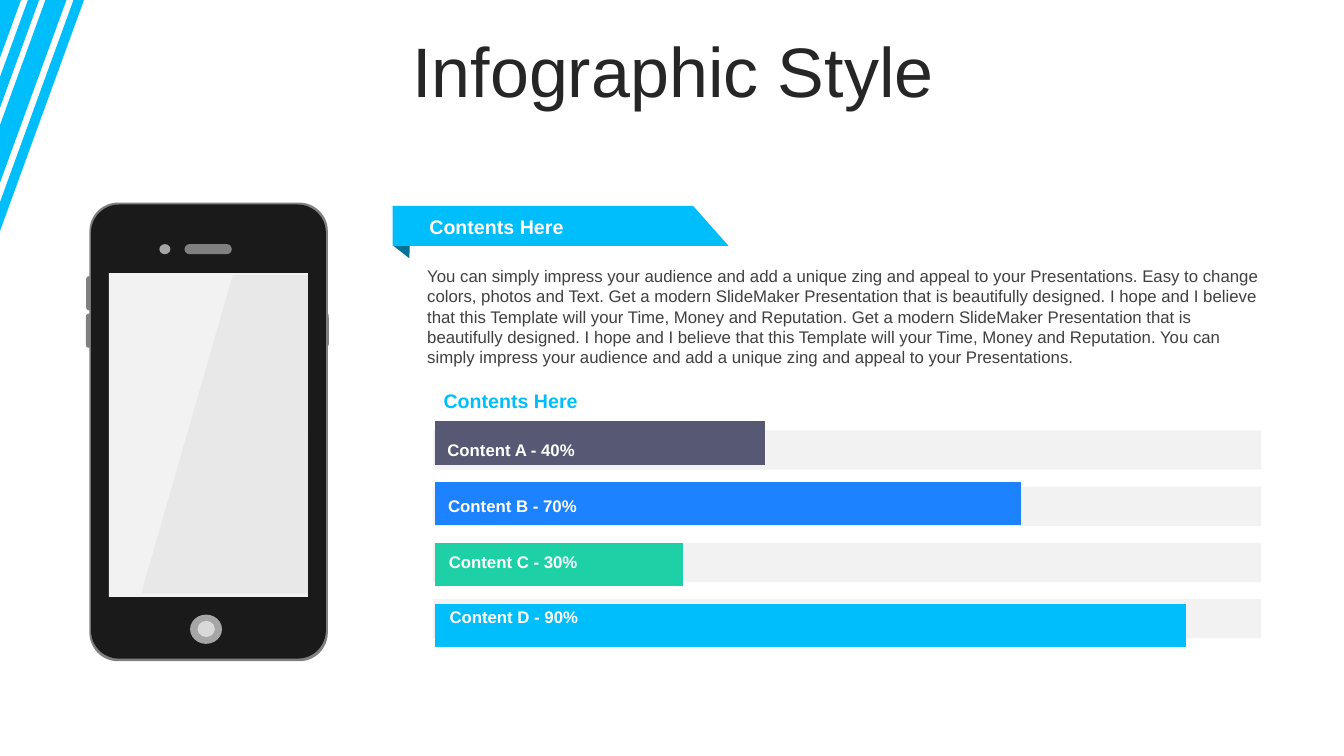
from lxml import etree
from pptx import Presentation
from pptx.chart.data import CategoryChartData
from pptx.dml.color import RGBColor
from pptx.enum.chart import XL_CHART_TYPE
from pptx.enum.shapes import MSO_SHAPE
from pptx.enum.text import MSO_ANCHOR, PP_ALIGN
from pptx.oxml.ns import qn
from pptx.util import Pt

RECTANGLE = MSO_SHAPE.RECTANGLE
ROUNDED = MSO_SHAPE.ROUNDED_RECTANGLE
OVAL = MSO_SHAPE.OVAL
LEFT, CENTER = PP_ALIGN.LEFT, PP_ALIGN.CENTER
TOP, MIDDLE = MSO_ANCHOR.TOP, MSO_ANCHOR.MIDDLE
BAR_STACKED = XL_CHART_TYPE.BAR_STACKED

FONT = "Arial"
SKY, DEEP_SKY = "00BDFB", "007197"
GRAY, SILVER, PALE, BLACK = "808080", "A6A6A6", "F2F2F2", "1A1A1A"
WHITE, TEXT = "FFFFFF", "404040"

BODY_TEXT = (
    "You can simply impress your audience and add a unique zing and appeal to your "
    "Presentations. Easy to change colors, photos and Text. Get a modern SlideMaker "
    "Presentation that is beautifully designed. I hope and I believe that this Template "
    "will your Time, Money and Reputation. Get a modern SlideMaker Presentation that is "
    "beautifully designed. I hope and I believe that this Template will your Time, Money "
    "and Reputation. You can simply impress your audience and add a unique zing and "
    "appeal to your Presentations."
)
BAR_LABELS = ["Content A - 40%", "Content B - 70%", "Content C - 30%", "Content D - 90%"]
# Bars from bottom to top
BAR_VALUES = [100, 33, 78, 44]
BAR_COLORS = [SKY, "1ED0A6", "1C82FF", "565874"]


def color(hex_string):
    return RGBColor.from_string(hex_string)


def set_format(target, values):
    for name, value in values.items():
        setattr(target, name, value)


def paint(shape, fill, opacity=None):
    shape.shadow.inherit = False
    shape.fill.solid()
    shape.fill.fore_color.rgb = color(fill)
    shape.line.fill.background()
    if opacity is not None:
        fill_color = shape._element.spPr.find(qn("a:solidFill"))[0]
        etree.SubElement(fill_color, qn("a:alpha")).set("val", str(opacity * 1000))


def add_block(slide, kind, box, fill, rounding=None):
    shape = slide.shapes.add_shape(kind, *(Pt(length) for length in box))
    if rounding is not None:
        shape.adjustments[0] = rounding
    paint(shape, fill)


def add_polygon(slide, points, fill, opacity=None):
    corners = [(Pt(x), Pt(y)) for x, y in points]
    builder = slide.shapes.build_freeform(*corners[0])
    builder.add_line_segments(corners[1:], close=True)
    paint(builder.convert_to_shape(), fill, opacity)


def add_text(slide, text, box, size, fill, bold=False, align=LEFT, anchor=MIDDLE,
             inset=7.2, spacing=1.0):
    shape = slide.shapes.add_textbox(*(Pt(length) for length in box))
    set_format(shape.text_frame, {
        "word_wrap": True, "vertical_anchor": anchor, "margin_left": Pt(inset),
    })
    paragraph = shape.text_frame.paragraphs[0]
    set_format(paragraph, {"alignment": align, "line_spacing": spacing})
    run = paragraph.add_run()
    run.text = text
    set_format(run.font, {"name": FONT, "size": Pt(size), "bold": bold})
    run.font.color.rgb = color(fill)


def add_stripes(slide):
    slope = 2.75
    for start, end in [(0, 15), (20, 28), (32.5, 47.5), (52.5, 60)]:
        add_polygon(slide, [(start, 0), (end, 0), (0, end * slope), (0, start * slope)], SKY)


def add_phone(slide):
    # Side buttons
    for left, top in [(61.6, 197.3), (61.4, 224), (229.9, 223.4)]:
        add_block(slide, ROUNDED, (left, top, 5, 24.4), GRAY, 0.4)
    # Case and screen
    add_block(slide, ROUNDED, (63.9, 144.7, 170.3, 327.6), GRAY, 0.12)
    add_block(slide, ROUNDED, (65, 146.1, 167.8, 324.4), BLACK, 0.12)
    add_block(slide, RECTANGLE, (77.8, 195.1, 142.1, 231.3), PALE)
    # Home button
    add_block(slide, OVAL, (135.8, 439, 22.8, 20.9), SILVER)
    add_block(slide, OVAL, (141.1, 443.5, 12.4, 11.5), "D9D9D9")
    # Screen glare
    add_polygon(slide, [(166.3, 196.6), (219.9, 196.6), (220.2, 424.1), (100.8, 424.1)],
                "999999", 10)
    # Speaker and camera
    add_block(slide, ROUNDED, (131.8, 174.4, 33.8, 7.2), GRAY, 0.5)
    add_block(slide, OVAL, (113.8, 174.4, 7.9, 7.2), SILVER)


def add_ribbon(slide):
    add_polygon(slide, [(293, 148.3), (280.8, 148.3), (281.2, 175.7), (292.5, 184.5)], DEEP_SKY)
    add_polygon(slide, [(280.4, 147), (495, 147), (520.4, 175.6), (280.4, 175.6)], SKY)


def set_plot_area(chart, **edges):
    plot_area = chart._chartSpace.chart.plotArea
    for old in plot_area.findall(qn("c:layout")):
        plot_area.remove(old)
    layout = etree.Element(qn("c:layout"))
    manual = etree.SubElement(layout, qn("c:manualLayout"))
    settings = {"layoutTarget": "inner", "xMode": "edge", "yMode": "edge", **edges}
    for name, value in settings.items():
        etree.SubElement(manual, qn("c:" + name)).set("val", str(value))
    plot_area.insert(0, layout)


def add_bar_chart(slide):
    data = CategoryChartData()
    data.categories = ["1", "2", "3", "4"]
    data.add_series("Series 1", BAR_VALUES)
    box = (298.1, 290.9, 621.4, 181.4)
    chart = slide.shapes.add_chart(BAR_STACKED, *(Pt(length) for length in box), data).chart
    set_format(chart, {"has_legend": False, "has_title": False})
    set_format(chart.font, {"name": FONT, "size": Pt(12)})
    chart.font.color.rgb = color("000000")
    set_format(chart.value_axis, {
        "minimum_scale": 0, "maximum_scale": 110, "has_major_gridlines": False,
        "visible": False,
    })
    chart.category_axis.visible = False
    plot = chart.plots[0]
    set_format(plot, {"gap_width": 40, "overlap": 100, "vary_by_categories": False})
    series = plot.series[0]
    series.format.fill.solid()
    series.format.fill.fore_color.rgb = color(TEXT)
    for index, bar_color in enumerate(BAR_COLORS):
        fill = series.points[index].format.fill
        fill.solid()
        fill.fore_color.rgb = color(bar_color)
    set_plot_area(chart, x=0.02, y=0.02, w=0.95, h=0.96)


def main():
    presentation = Presentation()
    set_format(presentation, {"slide_width": Pt(960), "slide_height": Pt(540)})
    slide = presentation.slides.add_slide(presentation.slide_layouts[6])

    # Decoration
    add_phone(slide)
    add_stripes(slide)
    add_ribbon(slide)

    # Title
    add_text(slide, "Infographic Style", (25.2, 26.6, 911.5, 56.9), 50, "262626",
             align=CENTER, spacing=0.8)

    # Bars over their tracks, then labels
    for row in range(len(BAR_LABELS)):
        add_block(slide, RECTANGLE, (309.2, 307.4 + 40.2 * row, 591.6, 28.1), PALE)
    add_bar_chart(slide)
    for row, label in enumerate(BAR_LABELS):
        add_text(slide, label, (312.5 + 0.5 * row, 310.7 + 39.8 * row, 123, 21.6), 12,
                 WHITE, bold=True)

    # Headings and body text
    add_text(slide, "Contents Here", (298.1, 146.9, 181.4, 29.5), 14, WHITE, bold=True,
             inset=8.6)
    add_text(slide, "Contents Here", (308.2, 275, 137.5, 22.3), 14, SKY, bold=True, inset=8.6)
    add_text(slide, BODY_TEXT, (298.1, 186.5, 614.9, 79.9), 12, TEXT, anchor=TOP)

    presentation.save("out.pptx")


if __name__ == "__main__":
    main()
